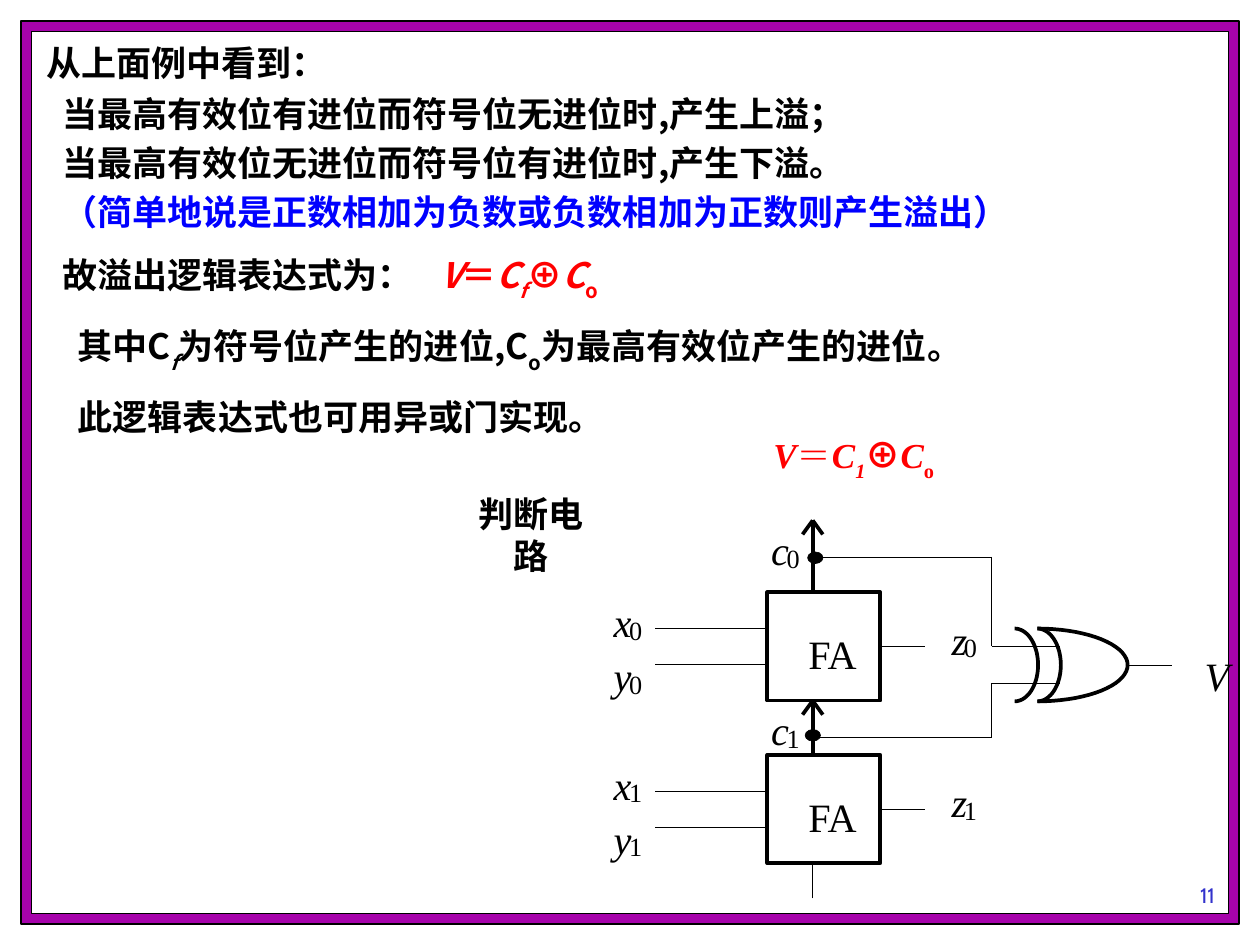
import math
from typing import NamedTuple

import pptx
import pptx.dml.color
import pptx.enum.shapes
import pptx.enum.text
import pptx.oxml
import pptx.oxml.ns
import pptx.util
from lxml import etree

Pt = pptx.util.Pt
RGBColor = pptx.dml.color.RGBColor
Align = pptx.enum.text.PP_ALIGN
Anchor = pptx.enum.text.MSO_ANCHOR
Shape = pptx.enum.shapes.MSO_SHAPE
qn = pptx.oxml.ns.qn

BLACK = RGBColor(0x00, 0x00, 0x00)
WHITE = RGBColor(0xFF, 0xFF, 0xFF)
PURPLE = RGBColor(0xA6, 0x03, 0xAB)
RED = RGBColor(0xFF, 0x00, 0x00)
BLUE = RGBColor(0x00, 0x00, 0xFF)
INDIGO = RGBColor(0x33, 0x33, 0xCC)
SANS, SERIF, NUMBER_FONT = "Noto Sans CJK SC", "Times New Roman", "Cabin"
THIN, THICK = 0.37, 2.13


class Span(NamedTuple):
    text: str
    color: RGBColor = BLACK
    italic: bool = False
    lowered: bool = False
    font: str = SANS
    size: float = 20
    bold: bool = True


class Line(NamedTuple):
    spans: list[Span]
    indent: float = 0
    spacing: float = 1.0
    tab: float = 0


class Label(NamedTuple):
    symbol: str
    index: str
    x: float
    y: float
    index_shift: float = 8.6


def add_spans(para, spans: list[Span]) -> None:
    for item in spans:
        span = para.add_run()
        span.text = item.text
        font = span.font
        font.name, font.size = item.font, Pt(item.size)
        font.bold, font.italic = item.bold, item.italic
        font.color.rgb = item.color
        properties = font._element
        if item.lowered:
            properties.set("baseline", "-30000")
        east_asian = etree.Element(qn("a:ea"), typeface=item.font)
        properties.find(qn("a:latin")).addnext(east_asian)


def add_text(page, left: float, top: float, width: float, height: float,
             lines: list[Line], inset: tuple[float, float] = (0, 0),
             align=Align.LEFT, wrap: bool = False, anchor=Anchor.TOP) -> None:
    box = page.shapes.add_textbox(Pt(left), Pt(top), Pt(width), Pt(height))
    frame = box.text_frame
    frame.word_wrap, frame.vertical_anchor = wrap, anchor
    frame.margin_left = frame.margin_right = Pt(inset[0])
    frame.margin_top = frame.margin_bottom = Pt(inset[1])
    for number, line in enumerate(lines):
        para = frame.add_paragraph() if number else frame.paragraphs[0]
        para.alignment, para.line_spacing = align, line.spacing
        if number:
            para.space_before = Pt(12.5)
        properties = para._p.get_or_add_pPr()
        properties.set("marL", str(Pt(line.indent)))
        properties.set("indent", "0")
        if line.tab:
            stops = etree.SubElement(properties, qn("a:tabLst"))
            etree.SubElement(stops, qn("a:tab"), pos=str(Pt(line.tab)), algn="l")
        add_spans(para, line.spans)


def add_block(page, kind, left: float, top: float, width: float, height: float,
              fill: RGBColor | None = None, line: float = 0):
    block = page.shapes.add_shape(kind, Pt(left), Pt(top), Pt(width), Pt(height))
    block.shadow.inherit = False
    if fill is None:
        block.fill.background()
    else:
        block.fill.solid()
        block.fill.fore_color.rgb = fill
    if line:
        block.line.color.rgb, block.line.width = BLACK, Pt(line)
    else:
        block.line.fill.background()
    return block


def add_wire(page, x1: float, y1: float, x2: float, y2: float, weight: float = THIN):
    wire = page.shapes.add_connector(
        pptx.enum.shapes.MSO_CONNECTOR.STRAIGHT, Pt(x1), Pt(y1), Pt(x2), Pt(y2))
    wire.line.color.rgb, wire.line.width = BLACK, Pt(weight)
    etree.SubElement(wire._element.spPr, qn("a:effectLst"))
    return wire


def add_carry(page, x: float, bottom: float, top: float) -> None:
    add_wire(page, x, bottom, x, top, THICK)
    for side in (-5.8, 5.8):
        add_wire(page, x, top, x + side, top + 8, THICK)


def add_half_ellipse(page, x: float, y: float, rx: float, ry: float) -> None:
    angles = [math.radians(degree) for degree in range(-90, 91, 5)]
    points = [(Pt(x + rx * math.cos(a)), Pt(y + ry * math.sin(a))) for a in angles]
    builder = page.shapes.build_freeform(*points[0])
    builder.add_line_segments(points[1:], close=False)
    arc = builder.convert_to_shape()
    arc.shadow.inherit = False
    arc.fill.background()
    arc.line.color.rgb, arc.line.width = BLACK, Pt(THICK)


def add_label(page, label: Label) -> None:
    symbol = Span(label.symbol, italic=True, font=SERIF, size=23, bold=False)
    add_text(page, label.x, label.y, 10, 27.4, [Line([symbol])], align=Align.CENTER)
    if label.index:
        index = Span(label.index, font=SERIF, size=15, bold=False)
        add_text(page, label.x + label.index_shift, label.y + 9.5, 8, 18,
                 [Line([index])], align=Align.CENTER)


def formula(font: str, carry: str) -> list[Span]:
    return [Span("V", RED, True, font=font), Span("＝", RED, font=font),
            Span("C", RED, True, font=font), Span(carry, RED, True, True, font),
            Span("⊕", RED), Span("C", RED, True, font=font),
            Span("o", RED, False, True, font)]


def draw_circuit(page) -> None:
    adder_x, adder_width, adder_height = 438.5, 64.5, 62
    carry_x, feedback_x, gate_in = 464.4, 566.6, 605.5
    adder_tops = (338.4, 431.3)

    # Full adders with their inputs, outputs and labels
    for index, top in enumerate(adder_tops):
        adder = add_block(page, Shape.RECTANGLE, adder_x, top,
                          adder_width, adder_height, line=THICK)
        frame = adder.text_frame
        frame.margin_left, frame.margin_top = Pt(10), Pt(8.4)
        frame.margin_right = frame.margin_bottom = Pt(0)
        frame.vertical_anchor = Anchor.MIDDLE
        frame.paragraphs[0].alignment = Align.CENTER
        add_spans(frame.paragraphs[0], [Span("FA", font=SERIF, size=23, bold=False)])
        for offset in (20.8, 41.4):
            add_wire(page, 374.4, top + offset, adder_x, top + offset)
        middle = top + adder_height / 2
        output = add_wire(page, adder_x + adder_width, middle, 528.5, middle)
        output.begin_connect(adder, 3)
        for label in (Label("x", str(index), 350.6, top + 2.9),
                      Label("y", str(index), 350.6, top + 33.8),
                      Label("z", str(index), 543.2, top + 13, 7.4)):
            add_label(page, label)

    # Carry chain
    upper, lower = adder_tops
    add_wire(page, carry_x, 513.4, carry_x, lower + adder_height)
    add_carry(page, carry_x, lower, upper + adder_height)
    add_carry(page, carry_x, upper, 297.4)
    add_label(page, Label("c", "0", 440.6, 300.2))
    add_label(page, Label("c", "1", 440.6, 403.2))

    # Taps from the carries to the gate
    for tap_y, gate_y in ((318.2, 369.4), (421.2, 390.2)):
        add_wire(page, carry_x, tap_y, feedback_x, tap_y)
        add_wire(page, feedback_x, tap_y, feedback_x, gate_y)
        add_wire(page, feedback_x, gate_y, gate_in, gate_y)
    for x, y in ((461.5, 315.4), (460.1, 416.9)):
        add_block(page, Shape.OVAL, x, y, 8.8, 6.6, BLACK, THIN)

    # Exclusive-or gate
    for x, radius in ((579.8, 13.4), (592.8, 13.4), (592.8, 51.6)):
        add_half_ellipse(page, x, 380, radius, 20.8)
    add_wire(page, 644.2, 380, 669.6, 380)
    add_label(page, Label("V", "", 688.4, 372.2))


def main() -> None:
    deck = pptx.Presentation()
    deck.slide_width, deck.slide_height = Pt(720), Pt(540)
    page = deck.slides.add_slide(deck.slide_layouts[6])

    # Frame and page number
    add_block(page, Shape.RECTANGLE, 12, 12, 696, 516, PURPLE, 0.75)
    add_block(page, Shape.RECTANGLE, 18, 18, 684, 504, WHITE, 0.75)
    number = Span("11", INDIGO, font=NUMBER_FONT, size=12, bold=False)
    add_text(page, 675, 486, 30, 36, [Line([number])], (0, 3.6),
             Align.CENTER, anchor=Anchor.BOTTOM)

    draw_circuit(page)

    # Explanation and formulas
    add_text(page, 434.9, 244, 117.4, 36, [Line(formula(SERIF, "1"))], (7.2, 3.6))
    add_text(page, 263.5, 281.5, 80, 24, [Line([Span("判断电路")])], align=Align.CENTER)
    add_text(page, 19.4, 20.2, 672, 234, [
        Line([Span("从上面例中看到：")]),
        Line([Span("当最高有效位有进位而符号位无进位时,产生上溢；")], 9, 0.65),
        Line([Span("当最高有效位无进位而符号位有进位时,产生下溢。")], 9, 0.65),
        Line([Span("（简单地说是正数相加为负数或负数相加为正数则产生溢出）", BLUE)], 9, 0.65),
        Line([Span("故溢出逻辑表达式为：\t"), *formula(SANS, "f")], 9, tab=226),
        Line([Span("其中C"), Span("f", italic=True, lowered=True),
              Span("为符号位产生的进位,C"), Span("o", lowered=True),
              Span("为最高有效位产生的进位。")], 18),
        Line([Span("此逻辑表达式也可用异或门实现。")], 18),
    ], (7.2, 3.6), wrap=True)

    deck.save("out.pptx")


if __name__ == "__main__":
    main()
